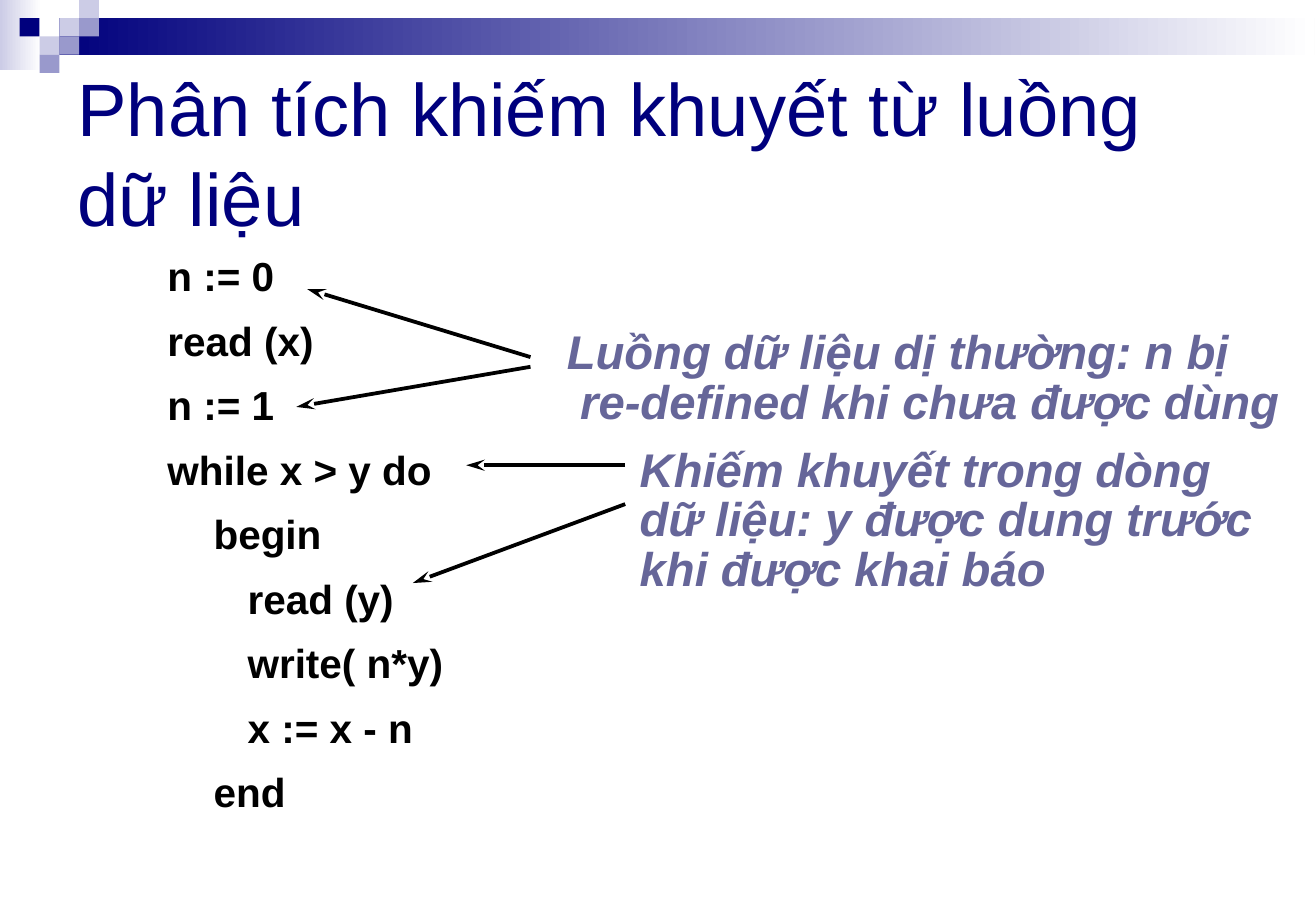
from dataclasses import dataclass
from lxml.etree import SubElement as Sub
from pptx import Presentation
from pptx.dml.color import RGBColor as Rgb
from pptx.enum.shapes import MSO_CONNECTOR as Conn, MSO_SHAPE as Shape
from pptx.enum.text import MSO_ANCHOR as Anchor
from pptx.oxml.ns import qn
from pptx.util import Inches, Pt


@dataclass
class Theme:
    font: str = "Arial"
    navy: str = "00007D"
    mid: str = "9999CC"
    pale: str = "CCCCE6"
    white: str = "FFFFFF"
    black: str = "000000"
    slate: str = "666699"
    title: int = 44
    code: int = 24
    note: int = 28


theme = Theme()
deck = Presentation()
deck.slide_width, deck.slide_height = Inches(10.84), Inches(7.5)
slide = deck.slides.add_slide(deck.slide_layouts[6])


def block(x, y, w, h, *tones):
    box = slide.shapes.add_shape(Shape.RECTANGLE, *map(Inches, (x, y, w, h)))
    box.shadow.inherit = False
    box.line.fill.background()
    if len(tones) == 1:
        box.fill.solid()
        box.fill.fore_color.rgb = Rgb.from_string(tones[0])
        return
    box.fill.gradient()
    box.fill.gradient_angle = 0
    for stop, tone in zip(box.fill.gradient_stops, tones):
        stop.color.rgb = Rgb.from_string(tone)


def write(lines, at, size, color, bold=False, italic=False,
          anchor=Anchor.TOP, pad=(0.07, 0.03), ratio=1.0, before=0):
    frame = slide.shapes.add_textbox(*map(Inches, at)).text_frame
    frame.word_wrap = True
    frame.vertical_anchor = anchor
    frame.margin_left = frame.margin_right = Inches(pad[0])
    frame.margin_top = frame.margin_bottom = Inches(pad[1])
    for row, (indent, text) in enumerate(lines):
        para = frame.paragraphs[0] if row == 0 else frame.add_paragraph()
        para.line_spacing = ratio
        para.space_before = Pt(before)
        if indent:
            para._p.get_or_add_pPr().set("marL", str(Inches(indent)))
        run = para.add_run()
        run.text = text
        font = run.font
        font.name, font.size = theme.font, Pt(size)
        font.bold, font.italic = bold, italic
        font.color.rgb = Rgb.from_string(color)


block(0, 0, 0.34, 0.58, theme.pale, theme.white)
block(0.49, 0.15, 10.34, 0.3, theme.navy, theme.white)

cell_w, cell_h = 0.163, 0.15
cells = [
    (3, 1, theme.pale), (4, 0, theme.pale), (4, 1, theme.mid),
    (2, 2, theme.pale), (1, 1, theme.navy), (3, 2, theme.mid),
    (2, 3, theme.mid),
]
for col, row, tone in cells:
    block(col * cell_w, row * cell_h, cell_w, cell_h, tone)

write([(0, "Phân tích khiếm khuyết từ luồng dữ liệu")],
      (0.54, 0.5, 9.75, 1.5), theme.title, theme.navy,
      anchor=Anchor.MIDDLE, pad=(0.1, 0.05))

code = [
    (0, "n := 0"), (0, "read (x)"), (0, "n := 1"), (0, "while x > y do"),
    (0.38, "begin"), (0.66, "read (y)"), (0.66, "write( n*y)"),
    (0.66, "x := x - n"), (0.38, "end"),
]
write(code, (1.31, 2.09, 3.13, 4.65), theme.code, theme.black,
      bold=True, ratio=0.88, before=12.9)

notes = [
    ((4.6, 2.69, 6.2, 0.87), [
        (0, "Luồng dữ liệu dị thường: n bị"),
        (0.11, "re-defined khi chưa được dùng"),
    ]),
    ((5.2, 3.66, 5.5, 1.28), [
        (0, "Khiếm khuyết trong dòng"),
        (0, "dữ liệu: y được dung trước"),
        (0, "khi được khai báo"),
    ]),
]
for at, lines in notes:
    write(lines, at, theme.note, theme.slate, bold=True, italic=True,
          ratio=0.87)

arrows = [
    (4.37, 3.02, 2.44, 3.35), (4.37, 2.94, 2.53, 2.38),
    (5.15, 3.83, 3.84, 3.83), (5.15, 4.15, 3.4, 4.8),
]
for ends in arrows:
    arrow = slide.shapes.add_connector(Conn.STRAIGHT, *map(Inches, ends))
    arrow.line.width = Pt(2.25)
    arrow.line.color.rgb = Rgb.from_string(theme.black)
    Sub(arrow.line._get_or_add_ln(), qn("a:tailEnd"),
        type="stealth", w="med", len="lg")
    Sub(arrow._element.spPr, qn("a:effectLst"))

deck.save("out.pptx")
